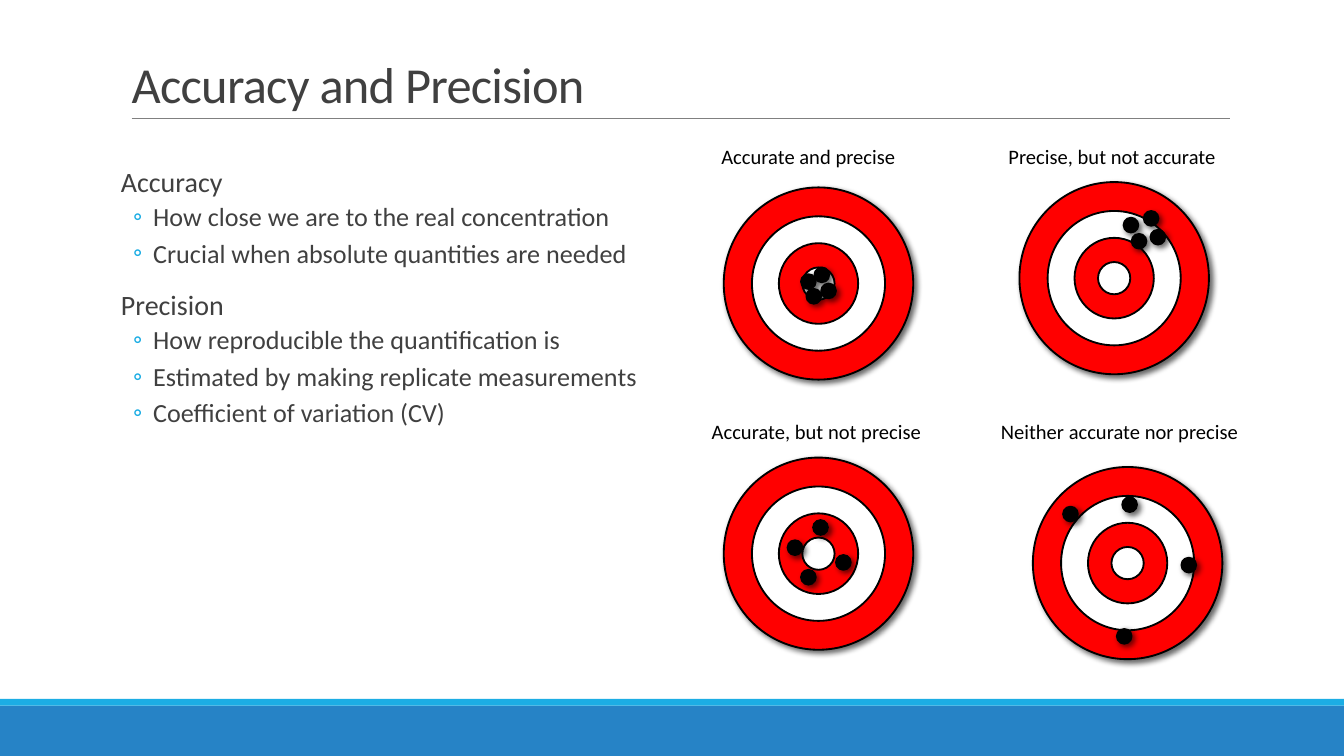
from lxml.etree import SubElement
from pptx import Presentation
from pptx.dml.color import RGBColor
from pptx.enum.shapes import MSO_CONNECTOR, MSO_SHAPE
from pptx.enum.text import MSO_ANCHOR, PP_ALIGN
from pptx.oxml import parse_xml
from pptx.oxml.ns import qn
from pptx.util import Inches, Pt

NS = 'xmlns:a="http://schemas.openxmlformats.org/drawingml/2006/main"'
SHADOW = (f'<a:effectLst {NS}><a:outerShdw blurRad="38100" dist="25400" dir="2700000" '
          'algn="ctr" rotWithShape="0"><a:srgbClr val="000000"><a:alpha val="60000"/>'
          '</a:srgbClr></a:outerShdw></a:effectLst>')
BULLET = (f'<a:buClr {NS}><a:srgbClr val="1CADE4"/></a:buClr>',
          f'<a:buFont {NS} typeface="Calibri" pitchFamily="34" charset="0"/>',
          f'<a:buChar {NS} char="◦"/>')


def rgb(value):
    return RGBColor.from_string(value)


def add_shape(shapes, kind, box, fill, line=None, shadow=False):
    sp = shapes.add_shape(kind, *map(Inches, box))
    sp.fill.solid()
    sp.fill.fore_color.rgb = rgb(fill)
    if line:
        sp.line.color.rgb = rgb(line)
        sp.line.width = Pt(1)
    else:
        sp.line.fill.background()
    sp.shadow.inherit = False
    if shadow:
        pr = sp._element.spPr
        pr.replace(pr.find(qn("a:effectLst")), parse_xml(SHADOW))


# 16:9 slide
prs = Presentation()
prs.slide_width = Inches(10)
prs.slide_height = Inches(10 * 9 / 16)
s = prs.slides.add_slide(prs.slide_layouts[6])

# Footer bands and the rule under the title
add_shape(s.shapes, MSO_SHAPE.RECTANGLE, (0, 5.25, 10, 0.38), "2683C6")
add_shape(s.shapes, MSO_SHAPE.RECTANGLE, (0, 5.2, 10, 0.05), "1CADE4")
rule = s.shapes.add_connector(MSO_CONNECTOR.STRAIGHT, Inches(0.98), Inches(0.88),
                              Inches(9.15), Inches(0.88))
rule.line.color.rgb = rgb("808080")
rule.line.width = Pt(0.5)
SubElement(rule._element.spPr, qn("a:effectLst"))

# Targets: centre and the top left corners of the hits
rings = [(1.41, 1.43, "FF0000"), (0.99, 1, "FFFFFF"),
         (0.59, 0.6, "FF0000"), (0.24, 0.24, "FFFFFF")]
targets = [
    (6.09, 2.11, [(5.96, 2.04), (6.06, 1.99), (6.11, 2.11), (6, 2.15)]),
    (6.09, 4.12, [(6.05, 3.87), (5.86, 4.02), (5.96, 4.24), (6.22, 4.13)]),
    (8.39, 4.19, [(8.35, 3.7), (7.91, 3.77), (8.79, 4.15), (8.31, 4.68)]),
    (8.29, 2.07, [(8.36, 1.62), (8.51, 1.57), (8.56, 1.71), (8.42, 1.74)]),
]
for cx, cy, hits in targets:
    group = s.shapes.add_group_shape()
    for i, (w, h, fill) in enumerate(rings):
        add_shape(group.shapes, MSO_SHAPE.OVAL, (cx - w / 2, cy - h / 2, w, h),
                  fill, "000000", shadow=i == 0)
    for x, y in hits:
        add_shape(group.shapes, MSO_SHAPE.OVAL, (x, y, 0.11, 0.11),
                  "000000", "000000", shadow=True)

# Text: box, side inset, anchor, paragraphs as (style, text)
styles = {
    "title": dict(size=27, color="404040", para=dict(line_spacing=0.85)),
    "head": dict(size=15, color="404040", margin=0.07,
                 para=dict(line_spacing=0.9, space_before=Pt(9), space_after=Pt(1.5))),
    "item": dict(size=14, color="404040", margin=0.31, hanging=0.15,
                 para=dict(line_spacing=0.9, space_before=Pt(1.5), space_after=Pt(3))),
    "label": dict(size=11, color="000000", para=dict(alignment=PP_ALIGN.CENTER)),
}
texts = [
    ((0.9, 0.24, 8.25, 0.65), 0.08, MSO_ANCHOR.BOTTOM, [("title", "Accuracy and Precision")]),
    ((0.83, 1.21, 3.98, 3.3), 0, MSO_ANCHOR.TOP, [
        ("head", "Accuracy"),
        ("item", "How close we are to the real concentration"),
        ("item", "Crucial when absolute quantities are needed"),
        ("head", "Precision"),
        ("item", "How reproducible the quantification is"),
        ("item", "Estimated by making replicate measurements"),
        ("item", "Coefficient of variation (CV)")]),
]
for x, y, w, label in [(4.91, 1.03, 2.21, "Accurate and precise"),
                       (7.17, 1.03, 2.21, "Precise, but not accurate"),
                       (4.97, 3.08, 2.21, "Accurate, but not precise"),
                       (7.17, 3.08, 2.32, "Neither accurate nor precise")]:
    texts.append(((x, y, w, 0.27), 0.07, MSO_ANCHOR.TOP, [("label", label)]))

for box, inset, anchor, paragraphs in texts:
    tf = s.shapes.add_textbox(*map(Inches, box)).text_frame
    frame = dict(word_wrap=True, vertical_anchor=anchor,
                 margin_left=Inches(inset), margin_right=Inches(inset),
                 margin_top=Inches(0.04), margin_bottom=Inches(0.04))
    for name, value in frame.items():
        setattr(tf, name, value)
    for i, (kind, text) in enumerate(paragraphs):
        style = styles[kind]
        p = tf.add_paragraph() if i else tf.paragraphs[0]
        pPr = p._p.get_or_add_pPr()
        if "margin" in style:
            pPr.set("marL", str(Inches(style["margin"])))
        if "hanging" in style:
            pPr.set("indent", str(-Inches(style["hanging"])))
            for xml in BULLET:
                pPr.append(parse_xml(xml))
        for name, value in style["para"].items():
            if i or name != "space_before":
                setattr(p, name, value)
        r = p.add_run()
        r.text = text
        for name, value in dict(name="Calibri", size=Pt(style["size"])).items():
            setattr(r.font, name, value)
        r.font.color.rgb = rgb(style["color"])
        if kind == "title":
            r._r.get_or_add_rPr().set("spc", "-40")

prs.save("out.pptx")
